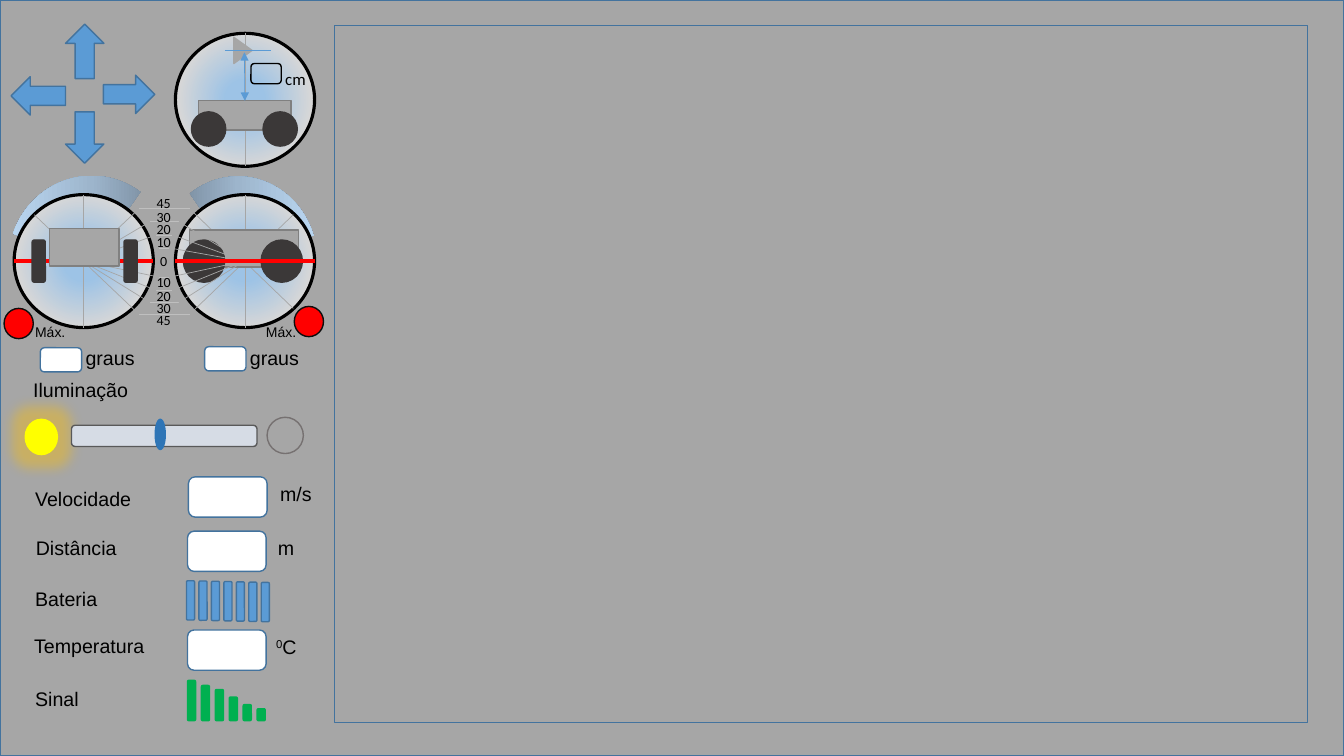
"""Build the control panel slide of a remotely driven rover."""
import pptx
import pptx.util
import pptx.dml.color
import pptx.enum.shapes
import pptx.enum.text
import pptx.oxml
import pptx.oxml.ns

Pt = pptx.util.Pt
SHAPE = pptx.enum.shapes.MSO_SHAPE
COLORS = {
    "panel": "A6A6A6", "edge": "43739E", "blue": "5B9BD5", "knob": "2E75B6",
    "track": "D6DCE5", "track_edge": "595959", "white": "FFFFFF",
    "black": "000000", "wheel": "3B3838", "body_edge": "808080",
    "tick": "BFBFBF", "red": "FF0000", "alarm_edge": "0D0D0D",
    "green": "00B050", "yellow": "FFFF00", "glow": "FFC000",
    "lamp_edge": "767171",
}
DIAL_STOPS = [(20, "9DC3E6"), (70, "D7D7D7"), (84, "BACDDE"), (100, "FFFFFF")]
ARC_STOPS = [(0, "6E7F8F"), (50, "9DB5CC"), (100, "BAD7F2")]
DIAL_W, DIAL_H = 99.4, 95
ROLL_X, PITCH_X, DIAL_Y = 10.1, 125.3, 139
ROLL_HUB, PITCH_HUB, HUB_Y = 59.4, 174.3, 186.6
SCALE_X = 117.4
TICKS = [(149, 18), (158.4, 10.4), (167.8, 5.8), (177.1, 3.6),
         (198, 3.6), (207.4, 5.8), (216, 10.4), (224.6, 18)]
SCALE_LABELS = [("45", 135.4), ("30", 145.4), ("20", 154.1), ("10", 163.4),
                ("0", 177.1), ("10", 192.2), ("20", 201.6), ("30", 210.2),
                ("45", 218.9)]


def rgb(name):
    """Return the colour of that name."""
    return pptx.dml.color.RGBColor.from_string(COLORS[name])


def add_shape(s, kind, x, y, w, h, fill=None, line=None, width=1, rot=0, flip=None):
    """Add a preset shape with a plain fill and outline."""
    sp = s.shapes.add_shape(kind, Pt(x), Pt(y), Pt(w), Pt(h))
    sp.shadow.inherit = False
    sp.rotation = rot
    if flip:
        sp._element.spPr.xfrm.set(flip, "1")
    if fill:
        sp.fill.solid()
        sp.fill.fore_color.rgb = rgb(fill)
    else:
        sp.fill.background()
    if line:
        sp.line.color.rgb = rgb(line)
        sp.line.width = Pt(width)
    else:
        sp.line.fill.background()
    return sp


def set_gradient(sp, stops, direction):
    """Replace the fill of a shape with a gradient."""
    spPr = sp._element.spPr
    spPr.remove(spPr.find(pptx.oxml.ns.qn("a:noFill")))
    gs = "".join(f'<a:gs pos="{pos * 1000}"><a:srgbClr val="{color}"/></a:gs>'
                 for pos, color in stops)
    spPr.insert(2, pptx.oxml.parse_xml(
        f'<a:gradFill {pptx.oxml.ns.nsdecls("a")} rotWithShape="1">'
        f'<a:gsLst>{gs}</a:gsLst>{direction}</a:gradFill>'))


def add_line(s, x1, y1, x2, y2, color="panel", width=0.5):
    """Add a straight line without shadow."""
    cxn = s.shapes.add_connector(pptx.enum.shapes.MSO_CONNECTOR.STRAIGHT,
                                 Pt(x1), Pt(y1), Pt(x2), Pt(y2))
    cxn.line.color.rgb = rgb(color)
    cxn.line.width = Pt(width)
    cxn._element.spPr.append(pptx.oxml.parse_xml(
        f'<a:effectLst {pptx.oxml.ns.nsdecls("a")}/>'))
    return cxn


def add_text(s, text, x, y, w, h=24.5, size=14, font="Arial", center=False, raised=""):
    """Add a one-line label, led by raised text if there is any."""
    tf = s.shapes.add_textbox(Pt(x), Pt(y), Pt(w), Pt(h)).text_frame
    tf.word_wrap = center
    p = tf.paragraphs[0]
    p.font.size = Pt(size)
    p.font.name = font
    p.font.color.rgb = rgb("black")
    if center:
        p.alignment = pptx.enum.text.PP_ALIGN.CENTER
    if raised:
        r = p.add_run()
        r.text = raised
        r.font._element.set("baseline", "30000")
    p.add_run().text = text


def add_dial(s, x, y):
    """Add a round gauge with its vertical axis."""
    sp = add_shape(s, SHAPE.OVAL, x, y, DIAL_W, DIAL_H, None, "black", 2.25)
    set_gradient(sp, DIAL_STOPS, '<a:path path="circle"><a:fillToRect l="50000" '
                                 't="50000" r="50000" b="50000"/></a:path>')
    add_line(s, x + DIAL_W / 2, y, x + DIAL_W / 2, y + DIAL_H)


def add_arc(s, x, y, h, flip=None):
    """Add a shaded arc behind the degree scale."""
    sp = add_shape(s, SHAPE.BLOCK_ARC, x, y, 122.4, h, rot=90, flip=flip)
    for i, value in enumerate((65.66, 128.99, 0.12)):
        sp.adjustments[i] = value
    set_gradient(sp, ARC_STOPS, '<a:lin ang="5400000" scaled="0"/>')


def add_box(s, x, y, w=56.2, h=28.8):
    """Add a white readout box."""
    add_shape(s, SHAPE.ROUNDED_RECTANGLE, x, y, w, h, "white", "edge")


def add_body(s, x, y, w, h):
    """Add the body of the rover."""
    return add_shape(s, SHAPE.RECTANGLE, x, y, w, h, "panel", "body_edge")


def add_wheels(s, kind, xs, y, w, h):
    """Add a row of equal wheels."""
    for x in xs:
        add_shape(s, kind, x, y, w, h, "wheel", "wheel")


def add_arrows(s):
    """Add the four steering arrows."""
    for x, y, h, rot, flip in [(46.8, 17.3, 38.9, 0, None), (78.5, 49, 36.7, 90, None),
                               (13.7, 49, 38.9, 90, "flipV"), (46.8, 79.9, 36.7, 0, "flipV")]:
        add_shape(s, SHAPE.UP_ARROW, x, y, 27.4, h, "blue", "edge", rot=rot, flip=flip)


def add_sonar(s):
    """Add the gauge of the distance to an obstacle."""
    add_dial(s, PITCH_X, 23.8)
    add_shape(s, SHAPE.ISOSCELES_TRIANGLE, 164.2, 29.5, 18.7, 13, "panel", "panel",
              rot=90, flip="flipH")
    body = add_body(s, 141.8, 72, 66.2, 20.9)
    add_wheels(s, SHAPE.OVAL, (136.8, 187.9), 79.9, 24.5, 24.5)
    add_line(s, 160.6, 36, 193.7, 36, "blue")
    beam = add_line(s, 174.6, 37.4, 174.9, 72, "blue")
    beam.end_connect(body, 0)
    ln = beam.line._get_or_add_ln()
    for end in ("headEnd", "tailEnd"):
        ln.append(pptx.oxml.parse_xml(
            f'<a:{end} {pptx.oxml.ns.nsdecls("a")} type="triangle"/>'))
    add_shape(s, SHAPE.ROUNDED_RECTANGLE, 179.3, 45.4, 21.6, 14.4, None, "black")
    add_text(s, "cm", 196.6, 45.4, 29.5, 21.6, 12, "Calibri")


def add_attitude(s):
    """Add the roll and pitch gauges with their shared scale."""
    add_arc(s, 108.7, 130.3, 113.8, "flipV")
    add_arc(s, 4.3, 127.4, 118.8)
    add_dial(s, ROLL_X, DIAL_Y)
    add_dial(s, PITCH_X, DIAL_Y)
    top, bottom = TICKS[0][0], TICKS[-1][0]
    add_line(s, 24.5, 153.4, SCALE_X - 18, bottom)
    add_line(s, 209.5, 220.3, SCALE_X + 18, top)
    add_line(s, 209.5, 153.4, SCALE_X + 18, bottom)
    add_line(s, ROLL_HUB, HUB_Y, SCALE_X - 18, top)
    add_body(s, 135.4, 164.2, 77.8, 26.6)
    add_wheels(s, SHAPE.OVAL, (131, 186.5), 171.4, 29.5, 30.2)
    for y, half in TICKS:
        add_line(s, SCALE_X - half, y, SCALE_X + half, y, "tick")
    for i, (y, half) in enumerate(TICKS[1:-1]):
        add_line(s, PITCH_HUB, HUB_Y, SCALE_X + half, y)
        if i != 2:
            add_line(s, ROLL_HUB, HUB_Y, SCALE_X - half, y)
    for x in (ROLL_X, PITCH_X):
        add_line(s, x, HUB_Y, x + DIAL_W, HUB_Y, "red", 3)
    add_body(s, 35.3, 163.4, 49.7, 26.6)
    add_wheels(s, SHAPE.ROUNDED_RECTANGLE, (88.6, 23), 171.4, 9.4, 30.2)
    for text, y in SCALE_LABELS:
        add_text(s, text, 102.2, y, 29.5, 19.4, 10, "Calibri", center=True)
    for box_x, box_y, text_x, lamp_x, lamp_y, max_x in [
            (28.8, 248.4, 54, 2.9, 220.3, 18), (146.2, 247.7, 171.4, 210.2, 218.9, 182.9)]:
        add_box(s, box_x, box_y, 29.5, 17.3)
        add_text(s, "graus", text_x, 243.4, 49.7)
        add_shape(s, SHAPE.OVAL, lamp_x, lamp_y, 20.9, 21.6, "red", "alarm_edge")
        add_text(s, "Máx.", max_x, 227.5, 36.7, 19.4, 10)


def add_lighting(s):
    """Add the lighting slider between its two lamps."""
    add_text(s, "Iluminação", 16.6, 266.4, 82.8)
    lamp = add_shape(s, SHAPE.OVAL, 18, 299.5, 23, 25.2, "yellow", "yellow")
    effects = lamp._element.spPr.find(pptx.oxml.ns.qn("a:effectLst"))
    effects.append(pptx.oxml.parse_xml(
        f'<a:glow {pptx.oxml.ns.nsdecls("a")} rad="{Pt(18)}"><a:srgbClr '
        f'val="{COLORS["glow"]}"><a:alpha val="40000"/></a:srgbClr></a:glow>'))
    add_shape(s, SHAPE.ROUNDED_RECTANGLE, 51.1, 303.8, 132.5, 15.1, "track", "track_edge")
    add_shape(s, SHAPE.OVAL, 110.9, 299.5, 7.2, 21.6, "knob", "knob")
    add_shape(s, SHAPE.OVAL, 190.8, 298.1, 25.9, 25.9, "panel", "lamp_edge")


def add_readouts(s):
    """Add the named readouts, the battery and the signal bars."""
    for text, x, y, w in [("Velocidade", 18, 344.2, 83.5), ("Distância", 18.5, 379.4, 72.7),
                          ("Bateria", 18, 415.4, 59), ("Temperatura", 17.3, 449.3, 93.6),
                          ("Sinal", 18, 487.4, 46.1)]:
        add_text(s, text, x, y, w)
    for x, y in [(134.6, 340.6), (133.9, 379.4), (133.9, 450)]:
        add_box(s, x, y)
    add_text(s, "m/s", 193, 340.6, 37.4)
    add_text(s, "m", 191.5, 379.4, 25.9)
    add_text(s, "C", 190.1, 450, 30.2, raised="0")
    for i in range(7):
        add_shape(s, SHAPE.ROUNDED_RECTANGLE, 133.2 + 8.9 * i, 414.8 + 0.2 * i, 5.8, 28.1,
                  "blue", "edge")
    for i, h in enumerate((28.8, 25.2, 22.3, 16.9, 11.5, 8.6)):
        add_shape(s, SHAPE.ROUNDED_RECTANGLE, 133.9 + 9.95 * i, 514.8 - h, 5.8, h,
                  "green", "green")


def main():
    """Build and save the slide."""
    prs = pptx.Presentation()
    prs.slide_width, prs.slide_height = Pt(960), Pt(540)
    s = prs.slides.add_slide(prs.slide_layouts[6])
    add_shape(s, SHAPE.RECTANGLE, 0, 0, 960, 540, "panel", "edge")
    add_shape(s, SHAPE.RECTANGLE, 239, 18, 694.8, 498.2, None, "edge")
    add_arrows(s)
    add_sonar(s)
    add_attitude(s)
    add_lighting(s)
    add_readouts(s)
    prs.save("out.pptx")


if __name__ == "__main__":
    main()
